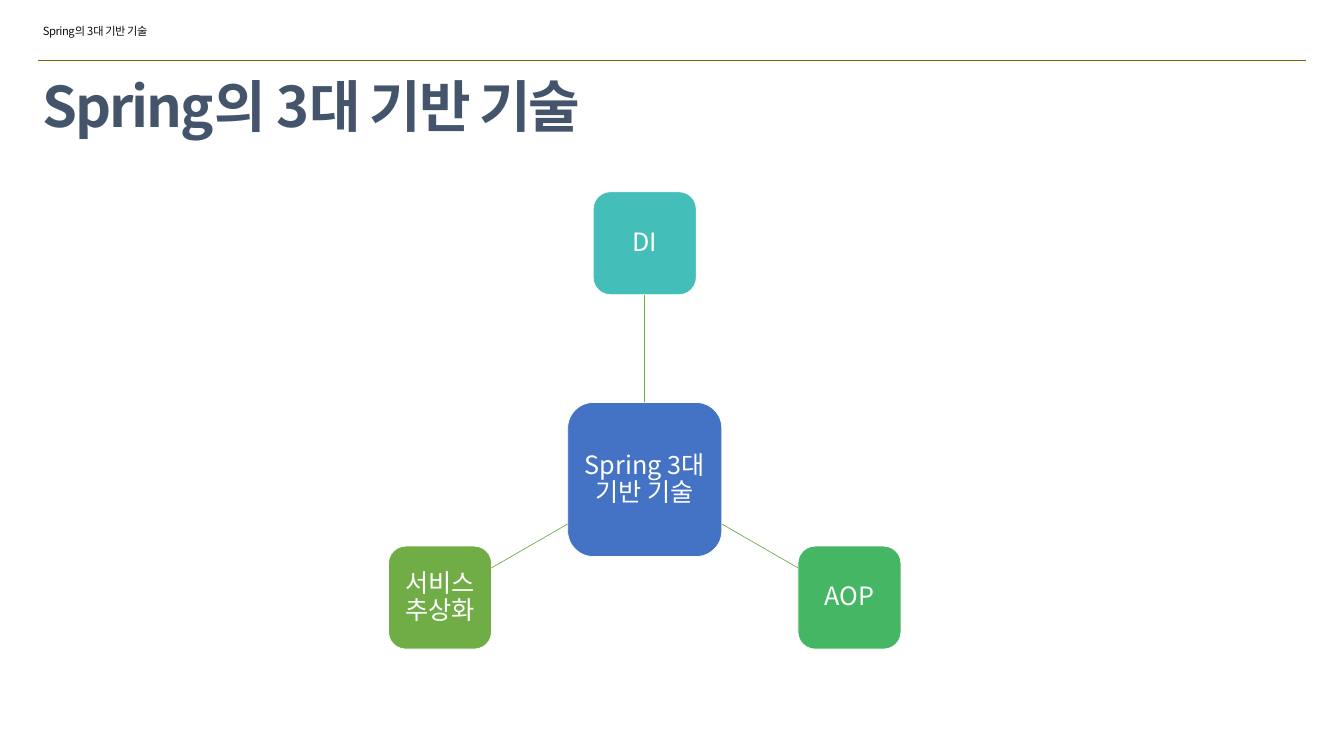
from math import cos, radians, sin, tan

from lxml import etree
from pptx import Presentation
from pptx.dml.color import RGBColor
from pptx.enum.shapes import MSO_CONNECTOR, MSO_SHAPE
from pptx.enum.text import MSO_ANCHOR, PP_ALIGN
from pptx.oxml.ns import qn
from pptx.util import Pt

ROUNDED = MSO_SHAPE.ROUNDED_RECTANGLE
STRAIGHT = MSO_CONNECTOR.STRAIGHT
CENTER, LEFT = PP_ALIGN.CENTER, PP_ALIGN.LEFT
MIDDLE, TOP = MSO_ANCHOR.MIDDLE, MSO_ANCHOR.TOP

FONT = "Noto Sans CJK KR"
COLORS = {
    "rule": "806000", "title": "44546A", "header": "0D0D0D", "white": "FFFFFF",
    "hub": "4472C4", "spoke": "70AD47",
    "di": "43BEB9", "aop": "45B664", "service": "70AD47",
}


def write_text(shape, text, size, color, bold=False, tracking=0, spacing=1.0,
               align=LEFT, anchor=TOP, inset=3.6):
    frame = shape.text_frame
    frame.word_wrap = True
    frame.vertical_anchor = anchor
    frame.margin_left = frame.margin_right = Pt(7.2)
    frame.margin_top = frame.margin_bottom = Pt(inset)
    para = frame.paragraphs[0]
    para.alignment = align
    para.line_spacing = spacing
    span = para.add_run()
    span.text = text
    span.font.name = FONT
    span.font.size = Pt(size)
    span.font.bold = bold
    span.font.color.rgb = RGBColor.from_string(COLORS[color])
    properties = span.font._element
    etree.SubElement(properties, qn("a:ea")).set("typeface", FONT)
    if tracking:
        properties.set("spc", str(round(tracking * 100)))


def add_line(x1, y1, x2, y2, color, width):
    line = page.shapes.add_connector(STRAIGHT, Pt(x1), Pt(y1), Pt(x2), Pt(y2))
    line.line.color.rgb = RGBColor.from_string(COLORS[color])
    line.line.width = Pt(width)
    etree.SubElement(line._element.spPr, qn("a:effectLst"))
    return line


deck = Presentation()
deck.slide_width, deck.slide_height = Pt(1918.8), Pt(1080)
page = deck.slides.add_slide(deck.slide_layouts[6])

# Header, rule and title
add_line(54, 86.4, 1864, 86.4, "rule", 0.25)
title = page.shapes.add_textbox(Pt(54), Pt(110), Pt(1810), Pt(91.5))
write_text(title, "Spring의 3대 기반 기술", size=80, color="title", bold=True,
           tracking=-3, spacing=0.9, anchor=MIDDLE)
header = page.shapes.add_textbox(Pt(54), Pt(31), Pt(292), Pt(26.6))
write_text(header, "Spring의 3대 기반 기술", size=16, color="header", tracking=-0.6)

# Radial diagram: a hub and three nodes, 120 degrees apart
HUB_X, HUB_Y, RADIUS = 920.5, 685, 337.5
HUB_SIZE, NODE_SIZE = 220, 147
nodes = [
    ("Spring 3대 기반 기술", "hub", HUB_SIZE, 0, 0),
    ("DI", "di", NODE_SIZE, RADIUS, -90),
    ("AOP", "aop", NODE_SIZE, RADIUS, 30),
    ("서비스 추상화", "service", NODE_SIZE, RADIUS, 150),
]
boxes = {}
for text, color, size, distance, angle in nodes:
    x = HUB_X + distance * cos(radians(angle))
    y = HUB_Y + distance * sin(radians(angle))
    box = page.shapes.add_shape(ROUNDED, Pt(x - size / 2), Pt(y - size / 2),
                                Pt(size), Pt(size))
    box.shadow.inherit = False
    box.fill.solid()
    box.fill.fore_color.rgb = RGBColor.from_string(COLORS[color])
    box.line.color.rgb = RGBColor.from_string(COLORS["white"])
    box.line.width = Pt(1)
    write_text(box, text, size=36, color="white", spacing=0.9,
               align=CENTER, anchor=MIDDLE, inset=7.2)
    boxes[color] = box

# Spokes run from the hub's edge to each node's edge
start, slope = HUB_SIZE / 2, tan(radians(30))
end = RADIUS * cos(radians(30)) - NODE_SIZE / 2
upright = add_line(HUB_X, HUB_Y - start, HUB_X, HUB_Y - RADIUS + NODE_SIZE / 2,
                   "spoke", 1)
upright.begin_connect(boxes["hub"], 0)
upright.end_connect(boxes["di"], 2)
for side in (1, -1):
    add_line(HUB_X + side * start, HUB_Y + start * slope,
             HUB_X + side * end, HUB_Y + end * slope, "spoke", 1)

deck.save("out.pptx")
